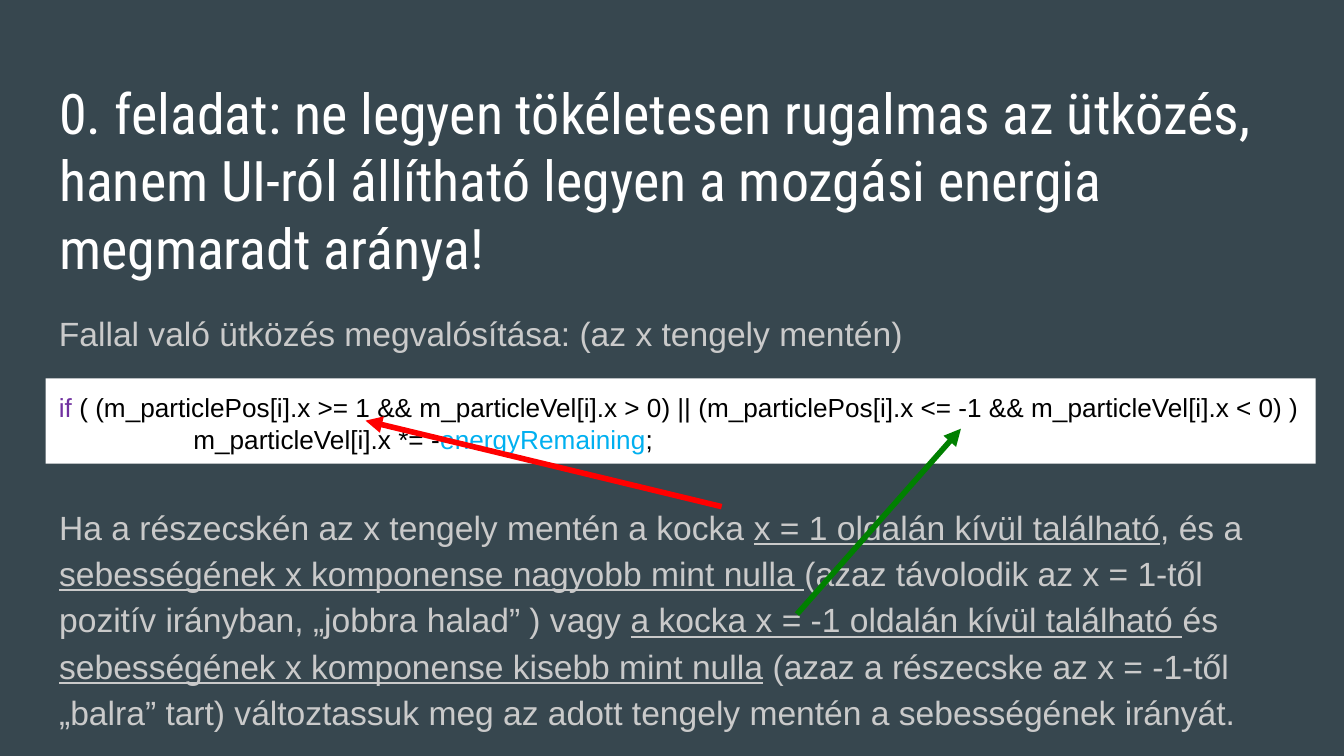
from typing import NamedTuple

from lxml import etree
from pptx import Presentation
from pptx import util as u
from pptx.dml.color import RGBColor
from pptx.enum import shapes, text
from pptx.oxml.ns import qn

PX = 4572  # EMU per px, 200 px to the inch

SLATE = RGBColor(0x37, 0x47, 0x4F)
WHITE = RGBColor(0xFF, 0xFF, 0xFF)
BLACK = RGBColor(0x00, 0x00, 0x00)
GREY = RGBColor(0xCA, 0xCA, 0xCA)
PURPLE = RGBColor(0x70, 0x30, 0xA0)
CYAN = RGBColor(0x00, 0xB0, 0xF0)
RED = RGBColor(0xFF, 0x00, 0x00)
GREEN = RGBColor(0x00, 0x80, 0x00)

LEFT, WIDE, INSET, TAB = 68, 1864, 20, 200


class Box(NamedTuple):
    left: int
    top: int
    width: int
    height: int


class Span(NamedTuple):
    words: str
    color: RGBColor = GREY
    line: bool = False


class Style(NamedTuple):
    font: str
    size: int
    space: float = 1.0


class Arrow(NamedTuple):
    start: tuple[int, int]
    end: tuple[int, int]
    color: RGBColor


HEAD = Style("Roboto Condensed", 30)
CODE = Style("Arial", 14)
BODY = Style("Arial", 18, 1.15)

TITLE = [[Span("0. feladat: ne legyen tökéletesen rugalmas az ütközés, hanem UI-ról "
               "állítható legyen a mozgási energia megmaradt aránya!", WHITE)]]
INTRO = [[Span("Fallal való ütközés megvalósítása: (az x tengely mentén)")]]
TEST = [
    [Span("if", PURPLE),
     Span(" ( (m_particlePos[i].x >= 1 && m_particleVel[i].x > 0) || "
          "(m_particlePos[i].x <= -1 && m_particleVel[i].x < 0) )", BLACK)],
    [Span("\tm_particleVel[i].x *= -", BLACK),
     Span("energyRemaining", CYAN),
     Span(";", BLACK)],
]
NOTE = [[
    Span("Ha a részecskén az x tengely mentén a kocka "),
    Span("x = 1 oldalán kívül található", line=True),
    Span(", és a "),
    Span("sebességének x komponense nagyobb mint nulla ", line=True),
    Span("(azaz távolodik az x = 1-től pozitív irányban, „jobbra halad” ) vagy "),
    Span("a kocka x = -1 oldalán kívül található ", line=True),
    Span("és "),
    Span("sebességének x komponense kisebb mint nulla", line=True),
    Span(" (azaz a részecske az x = -1-től „balra” tart) változtassuk meg "
         "az adott tengely mentén a sebességének irányát."),
]]
ARROWS = [
    Arrow((1074, 754), (544, 626), RED),
    Arrow((1186, 914), (1430, 638), GREEN),
]


def emu(box: Box) -> list[u.Emu]:
    return [u.Emu(n * PX) for n in box]


def place(shape, box: Box) -> None:
    shape.left, shape.top, shape.width, shape.height = emu(box)


def write(shape, paras: list[list[Span]], style: Style) -> None:
    frame = shape.text_frame
    frame.word_wrap = True
    frame.auto_size = text.MSO_AUTO_SIZE.NONE
    frame.vertical_anchor = text.MSO_ANCHOR.TOP
    frame.margin_left = frame.margin_right = INSET * PX
    frame.margin_top = frame.margin_bottom = INSET * PX
    for i, spans in enumerate(paras):
        para = frame.add_paragraph() if i else frame.paragraphs[0]
        para.alignment = text.PP_ALIGN.LEFT
        para.line_spacing = style.space
        para.space_before = u.Pt(0)
        for span in spans:
            run = para.add_run()
            run.text = span.words
            run.font.name = style.font
            run.font.size = u.Pt(style.size)
            run.font.color.rgb = span.color
            if span.line:
                run.font.underline = True


def unlist(shape) -> None:
    """Take the bullet and hanging indent off each paragraph."""
    for para in shape.text_frame.paragraphs:
        props = para._p.get_or_add_pPr()
        props.set("marL", "0")
        props.set("indent", "0")
        etree.SubElement(props, qn("a:buNone"))


def indent(para) -> None:
    """Set the tab stop that the code line starts from."""
    stops = etree.SubElement(para._p.get_or_add_pPr(), qn("a:tabLst"))
    etree.SubElement(stops, qn("a:tab"), pos=str(TAB * PX), algn="l")


def draw(slide, arrow: Arrow) -> None:
    ends = [u.Emu(n * PX) for n in arrow.start + arrow.end]
    link = slide.shapes.add_connector(shapes.MSO_CONNECTOR.STRAIGHT, *ends)
    link.line.color.rgb = arrow.color
    link.line.width = u.Pt(3)
    tip = etree.SubElement(link.line._get_or_add_ln(), qn("a:tailEnd"))
    tip.set("type", "triangle")
    etree.SubElement(link._element.spPr, qn("a:effectLst"))


def main() -> None:
    deck = Presentation()
    deck.slide_width, deck.slide_height = u.Emu(2000 * PX), u.Emu(1125 * PX)
    slide = deck.slides.add_slide(deck.slide_layouts[1])
    slide.background.fill.solid()
    slide.background.fill.fore_color.rgb = SLATE

    title = slide.shapes.title
    place(title, Box(LEFT, 97, WIDE, 338))
    write(title, TITLE, HEAD)

    panel = slide.shapes.add_shape(
        shapes.MSO_SHAPE.RECTANGLE, *emu(Box(LEFT, 563, 1890, 127)))
    panel.shadow.inherit = False
    panel.fill.solid()
    panel.fill.fore_color.rgb = WHITE
    panel.line.fill.background()
    write(panel, TEST, CODE)
    indent(panel.text_frame.paragraphs[1])

    intro = slide.shapes.add_textbox(*emu(Box(LEFT, 436, WIDE, 98)))
    write(intro, INTRO, BODY)

    note = slide.placeholders[1]
    place(note, Box(LEFT, 725, WIDE, 378))
    write(note, NOTE, BODY)
    unlist(note)

    for arrow in ARROWS:
        draw(slide, arrow)
    deck.save("out.pptx")


if __name__ == "__main__":
    main()
